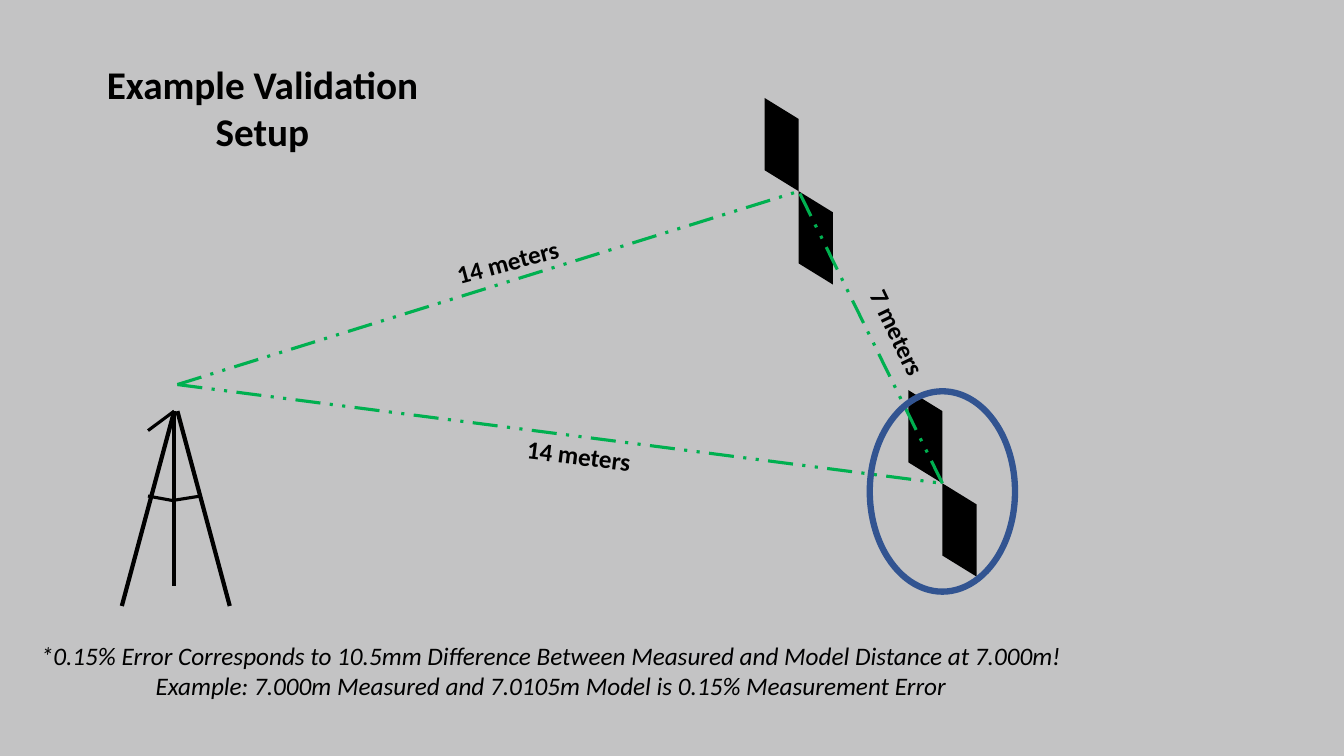
import pptx
import pptx.dml.color
import pptx.enum.dml
import pptx.enum.shapes
import pptx.enum.text
import pptx.oxml.ns
import pptx.util
from lxml import etree

Cm = pptx.util.Cm
COLORS = {
    "background": "C3C3C4",
    "black": "000000",
    "sight": "00B050",
    "highlight": "325491",
}


def add_line(start, end, color, width, dash=None):
    line = slide.shapes.add_connector(
        pptx.enum.shapes.MSO_CONNECTOR.STRAIGHT,
        Cm(start[0]), Cm(start[1]), Cm(end[0]), Cm(end[1]))
    line.line.color.rgb = pptx.dml.color.RGBColor.from_string(COLORS[color])
    line.line.width = pptx.util.Pt(width)
    if dash:
        line.line.dash_style = dash
    etree.SubElement(line._element.spPr, pptx.oxml.ns.qn("a:effectLst"))


def add_text(lines, box, size, bold=False, italic=False, centered=False, rotation=0):
    text = slide.shapes.add_textbox(*[Cm(length) for length in box])
    text.rotation = rotation
    text.text_frame.word_wrap = True
    text.text_frame.text = "\n".join(lines)
    for paragraph in text.text_frame.paragraphs:
        if centered:
            paragraph.alignment = pptx.enum.text.PP_ALIGN.CENTER
        paragraph.font.name = "Calibri"
        paragraph.font.size = pptx.util.Pt(size)
        paragraph.font.bold = bold
        paragraph.font.italic = italic
        paragraph.font.color.rgb = pptx.dml.color.RGBColor.from_string(COLORS["black"])


presentation = pptx.Presentation()
presentation.slide_width = Cm(33.87)
presentation.slide_height = Cm(19.05)
slide = presentation.slides.add_slide(presentation.slide_layouts[6])
slide.background.fill.solid()
slide.background.fill.fore_color.rgb = pptx.dml.color.RGBColor.from_string(
    COLORS["background"])

# Tripod
tripod_top = (4.39, 10.36)
tripod_parts = [
    ((3.07, 15.27), tripod_top, 3),
    ((5.79, 15.27), (4.47, 10.36), 3),
    ((4.39, 14.76), tripod_top, 3),
    ((4.39, 12.62), (3.73, 12.5), 2.25),
    ((5.05, 12.5), (4.42, 12.6), 2.25),
    (tripod_top, (3.73, 10.85), 2.25),
]
for start, end, width in tripod_parts:
    add_line(start, end, "black", width)

# Checkerboard targets: two slanted panels meeting at each centre
scanner = (4.47, 9.69)
far_target = (20.13, 4.82)
near_target = (23.75, 12.18)
panel_corners = [(0.86, 0.53), (0.86, 2.35), (0, 1.82)]
for x, y in (far_target, near_target):
    for side in (-1, 1):
        outline = slide.shapes.build_freeform(Cm(x), Cm(y))
        outline.add_line_segments(
            [(Cm(x + side * dx), Cm(y + side * dy)) for dx, dy in panel_corners])
        panel = outline.convert_to_shape()
        panel.shadow.inherit = False
        panel.fill.solid()
        panel.fill.fore_color.rgb = pptx.dml.color.RGBColor.from_string(COLORS["black"])
        panel.line.fill.background()

# Measured distances
for start, end in ((scanner, far_target), (scanner, near_target),
                   (near_target, far_target)):
    add_line(start, end, "sight", 2.25, pptx.enum.dml.MSO_LINE.DASH_DOT_DOT)

distances = [
    ("14 meters", 11.23, 6.07, 344.9),
    ("14 meters", 13.03, 10.97, 7),
    ("7 meters", 21.11, 8.05, 64.3),
]
for distance, left, top, rotation in distances:
    add_text([distance], (left, top, 3.2, 1.02), 18, bold=True, rotation=rotation)

add_text(["Example Validation Setup"], (1.85, 1.4, 9.53, 2.64), 28,
         bold=True, centered=True)
add_text(
    ["*0.15% Error Corresponds to 10.5mm Difference Between Measured and Model "
     "Distance at 7.000m!",
     "Example: 7.000m Measured and 7.0105m Model is 0.15% Measurement Error"],
    (0.43, 16, 26.92, 2.57), 18, italic=True, centered=True)

highlight = slide.shapes.add_shape(
    pptx.enum.shapes.MSO_SHAPE.OVAL, Cm(21.92), Cm(9.86), Cm(3.66), Cm(5.05))
highlight.shadow.inherit = False
highlight.fill.background()
highlight.line.color.rgb = pptx.dml.color.RGBColor.from_string(COLORS["highlight"])
highlight.line.width = pptx.util.Pt(4.5)

presentation.save("out.pptx")
